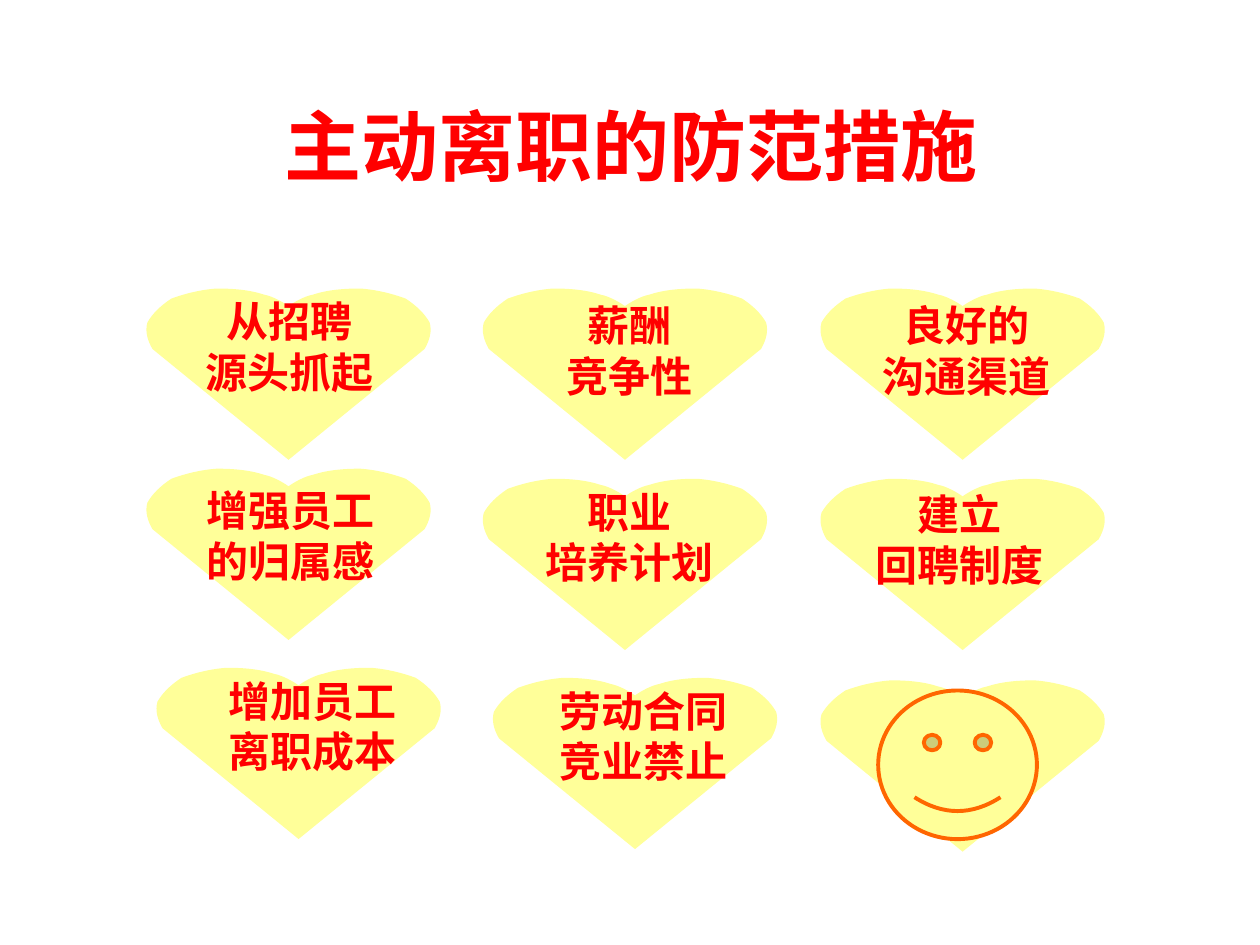
import pptx
import pptx.dml.color
import pptx.enum.shapes
import pptx.enum.text
import pptx.util
from lxml import etree
from pptx.oxml.ns import qn

Inches = pptx.util.Inches
Pt = pptx.util.Pt
RED = pptx.dml.color.RGBColor(0xFF, 0x00, 0x00)
YELLOW = pptx.dml.color.RGBColor(0xFF, 0xFF, 0x99)
ORANGE = pptx.dml.color.RGBColor(0xFF, 0x66, 0x00)
CJK_FONT = "Noto Sans CJK SC"

TITLE = "主动离职的防范措施"

# Heart left and top, then text lines with the text box left, top and width
MEASURES = [
    ((1.15, 3.72), ["增强员工", "的归属感"], (1.34, 3.80, 1.93)),
    ((1.23, 5.30), ["增加员工", "离职成本"], (1.61, 5.31, 1.74)),
    ((3.82, 2.29), ["薪酬", "竞争性"], (4.20, 2.33, 1.59)),
    ((3.82, 3.80), ["职业", "培养计划"], (4.05, 3.81, 1.90)),
    ((3.90, 5.38), ["劳动合同", "竞业禁止"], (4.13, 5.39, 1.96)),
    ((6.50, 2.29), ["良好的", "沟通渠道"], (6.79, 2.33, 1.76)),
    ((6.50, 3.80), ["建立", "回聘制度"], (6.73, 3.83, 1.77)),
    ((1.15, 2.29), ["从招聘", "源头抓起"], (1.38, 2.30, 1.84)),
]
SMILEY_HEART = (6.50, 5.40)
SMILEY = (6.97, 5.48, 1.26, 1.18)

# Left half of a heart: the notch, then three Bezier points per curve
HEART_WIDTH, HEART_HEIGHT = 2.28, 1.36
LEFT_HALF = [
    (1.14, 0.14),
    (1.10, 0.11), (1.01, 0.06), (0.95, 0.05),
    (0.83, 0.01), (0.70, 0.00), (0.57, 0.00),
    (0.44, 0.01), (0.32, 0.04), (0.21, 0.08),
    (0.12, 0.14), (0.06, 0.20), (0.02, 0.27),
    (0.00, 0.34), (0.02, 0.41), (0.06, 0.48),
]
RIGHT_HALF = [(HEART_WIDTH - x, y) for x, y in reversed(LEFT_HALF)]
HEART = LEFT_HALF + [(HEART_WIDTH / 2, HEART_HEIGHT)] + RIGHT_HALF


def curve_segments(segments):
    """Merge each three line segments into one Bezier curve."""
    for i in range(0, len(segments), 3):
        curve = etree.Element(qn("a:cubicBezTo"))
        segments[i].addprevious(curve)
        for segment in segments[i:i + 3]:
            curve.append(segment[0])
            segment.getparent().remove(segment)


def add_heart(s, left, top):
    points = [(Inches(left + x), Inches(top + y)) for x, y in HEART]
    builder = s.shapes.build_freeform(*points[0])
    builder.add_line_segments(points[1:], close=True)
    sp = builder.convert_to_shape()
    segments = list(sp._element.iter(qn("a:lnTo")))
    count = len(LEFT_HALF) - 1
    curve_segments(segments[:count])
    curve_segments(segments[-count:])
    sp.shadow.inherit = False
    sp.fill.solid()
    sp.fill.fore_color.rgb = YELLOW
    sp.line.fill.background()


def add_text(s, box, lines, size, font):
    tf = s.shapes.add_textbox(*map(Inches, box)).text_frame
    tf.word_wrap = True
    for i, line in enumerate(lines):
        p = tf.paragraphs[0] if i == 0 else tf.add_paragraph()
        p.alignment = pptx.enum.text.PP_ALIGN.CENTER
        r = p.add_run()
        r.text = line
        r.font.size = Pt(size)
        r.font.bold = True
        r.font.color.rgb = RED
        r.font.name = font
        ea = etree.SubElement(r.font._element, qn("a:ea"))
        ea.set("typeface", CJK_FONT)
    return tf


prs = pptx.Presentation()
prs.slide_width, prs.slide_height = Inches(10), Inches(7.5)
s = prs.slides.add_slide(prs.slide_layouts[6])

for heart, _, _ in MEASURES:
    add_heart(s, *heart)
add_heart(s, *SMILEY_HEART)

tf = add_text(s, (0.51, 0.52, 9, 1.25), [TITLE], 44, "Arial")
tf.vertical_anchor = pptx.enum.text.MSO_ANCHOR.MIDDLE
for _, lines, (left, top, width) in MEASURES:
    tf = add_text(s, (left, top, width, 0.9), lines, 24, CJK_FONT)
    tf.auto_size = pptx.enum.text.MSO_AUTO_SIZE.SHAPE_TO_FIT_TEXT

sp = s.shapes.add_shape(pptx.enum.shapes.MSO_SHAPE.SMILEY_FACE, *map(Inches, SMILEY))
sp.adjustments[0] = 0.093
sp.shadow.inherit = False
sp.fill.solid()
sp.fill.fore_color.rgb = YELLOW
sp.line.color.rgb = ORANGE
sp.line.width = Pt(2.25)

prs.save("out.pptx")
